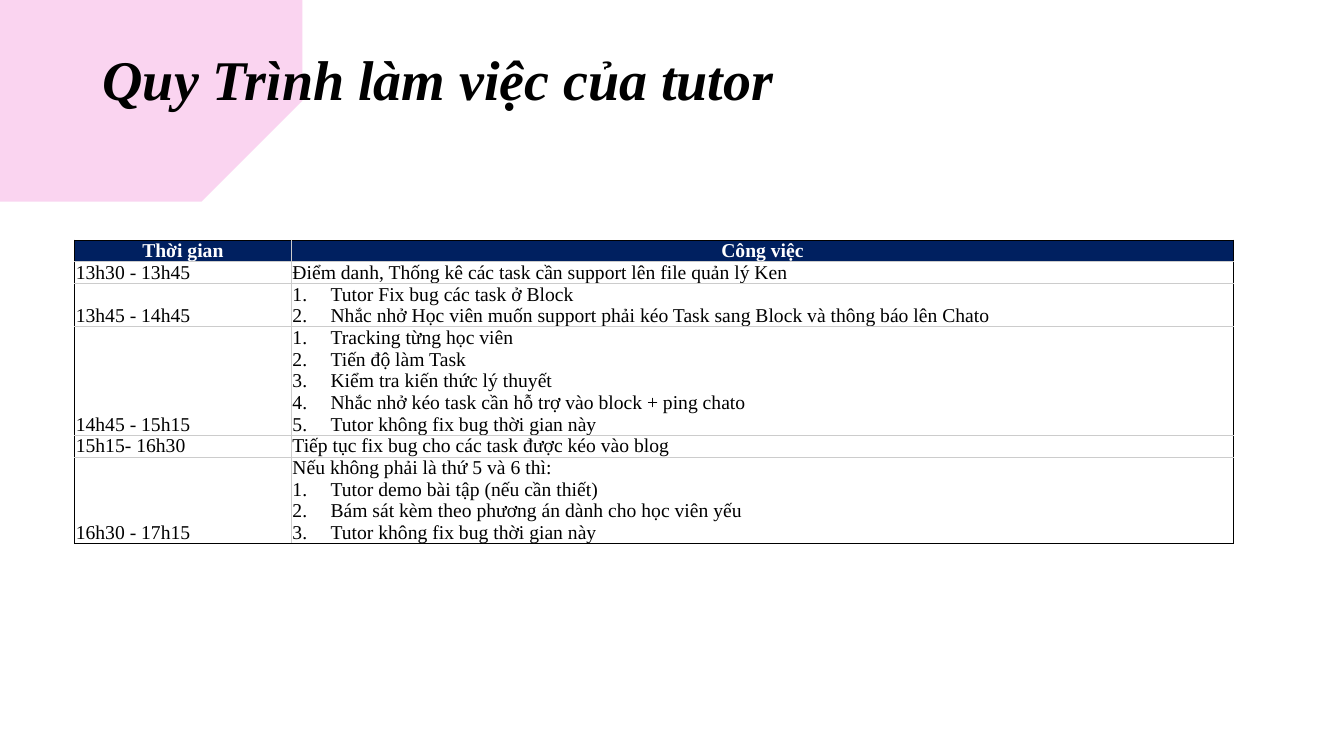
from lxml import etree
from pptx import Presentation
from pptx.dml.color import RGBColor
from pptx.enum.text import MSO_ANCHOR, MSO_AUTO_SIZE, PP_ALIGN
from pptx.oxml.ns import qn
from pptx.util import Cm, Pt

BOTTOM, MIDDLE = MSO_ANCHOR.BOTTOM, MSO_ANCHOR.MIDDLE
LEFT, CENTER = PP_ALIGN.LEFT, PP_ALIGN.CENTER
NO_FIT = MSO_AUTO_SIZE.NONE
BLACK = RGBColor(0x00, 0x00, 0x00)
WHITE = RGBColor(0xFF, 0xFF, 0xFF)
NAVY = RGBColor(0x00, 0x20, 0x60)
GREY = RGBColor(0xCC, 0xCC, 0xCC)
PINK = RGBColor(0xE7, 0x29, 0xB5)
FONT = "Times New Roman"


def set_font(font, **values):
    for key, value in values.items():
        setattr(font, key, value)
    font.name = FONT


def add_border(cell, position, side, color):
    """Border elements come first in the cell properties, in the order L, R, T, B."""
    line = etree.Element(qn("a:ln" + side), w=str(Pt(0.75)))
    fill = etree.SubElement(line, qn("a:solidFill"))
    etree.SubElement(fill, qn("a:srgbClr"), val=str(color))
    cell._tc.get_or_add_tcPr().insert(position, line)


prs = Presentation()
prs.slide_width, prs.slide_height = Cm(33.87), Cm(19.05)
slide = prs.slides.add_slide(prs.slide_layouts[5])

# Title
title = slide.shapes.title
title.left, title.top, title.width, title.height = Cm(2.33), Cm(0.23), Cm(29.21), Cm(3.68)
title_frame = title.text_frame
title_frame.text = "Quy Trình làm việc của tutor"
title_frame.vertical_anchor = MIDDLE
title_frame.auto_size = NO_FIT
title_frame.word_wrap = True
title_frame.paragraphs[0].alignment = LEFT
title_frame.paragraphs[0].line_spacing = 0.9
set_font(title_frame.paragraphs[0].font, size=Pt(40), bold=True, italic=True)
title_frame.paragraphs[0].font.color.rgb = BLACK

# Brush stroke behind the title: top edge, ragged tip, bottom edge, in inches
BRUSH = [
    (0, 0.34), (0.25, 0.37), (1.02, 0.37), (1.94, 0.41), (2.65, 0.4), (2.8, 0.47),
    (2.53, 0.57), (2.62, 0.62), (2.38, 0.66), (2.75, 0.74), (2.51, 0.75), (2.9, 0.85),
    (2.63, 0.88), (3.3, 0.94), (3.21, 0.97), (3.18, 1.06), (3.07, 1.11), (2.83, 1.16),
    (2.74, 1.28), (3.08, 1.28), (2.69, 1.38), (2.73, 1.42), (2.52, 1.48), (2.63, 1.48),
    (1.97, 1.72), (1.02, 1.88), (0.65, 1.91), (0, 1.88),
]
builder = slide.shapes.build_freeform(*BRUSH[0], scale=Cm(2.54))
builder.add_line_segments(BRUSH[1:], close=True)
brush = builder.convert_to_shape()
brush.shadow.inherit = False
brush.line.fill.background()
brush.fill.solid()
brush.fill.fore_color.rgb = PINK
brush_color = brush._element.spPr.find(".//" + qn("a:srgbClr"))
etree.SubElement(brush_color, qn("a:alpha"), val="20000")
title._element.addprevious(brush._element)

# Schedule: time, introductory line, numbered tasks
HEADINGS = ("Thời gian", "Công việc")
SCHEDULE = [
    ("13h30 - 13h45", "Điểm danh, Thống kê các task cần support lên file quản lý Ken", []),
    ("13h45 - 14h45", "", [
        "Tutor Fix bug các task ở Block",
        "Nhắc nhở Học viên muốn support phải kéo Task sang Block và thông báo lên Chato"]),
    ("14h45 - 15h15", "", [
        "Tracking từng học viên",
        "Tiến độ làm Task",
        "Kiểm tra kiến thức lý thuyết",
        "Nhắc nhở kéo task cần hỗ trợ vào block + ping chato",
        "Tutor không fix bug thời gian này"]),
    ("15h15- 16h30", "Tiếp tục fix bug cho các task được kéo vào blog", []),
    ("16h30 - 17h15", "Nếu không phải là thứ 5 và 6 thì:", [
        "Tutor demo bài tập (nếu cần thiết)",
        "Bám sát kèm theo phương án dành cho học viên yếu",
        "Tutor không fix bug thời gian này"]),
]
# Each cell is a list of (text, numbered) lines
rows = [[[(heading, False)] for heading in HEADINGS]]
for time, intro, tasks in SCHEDULE:
    work = [(intro, False)] if intro else []
    rows.append([[(time, False)], work + [(task, True) for task in tasks]])

LINE_HEIGHT = 0.54
line_total = sum(len(work) for _, work in rows)
schedule = slide.shapes.add_table(len(rows), 2, Cm(1.88), Cm(6.05), Cm(29.21),
                                  Cm(LINE_HEIGHT * line_total)).table
schedule.first_row = schedule.horz_banding = False
schedule.columns[0].width, schedule.columns[1].width = Cm(5.46), Cm(23.75)

for r, row in enumerate(rows):
    schedule.rows[r].height = Cm(LINE_HEIGHT * len(row[1]))
    is_header = r == 0
    for c, lines in enumerate(row):
        cell = schedule.cell(r, c)
        cell.vertical_anchor = BOTTOM
        cell.margin_left = cell.margin_right = Cm(0.03)
        cell.margin_top = cell.margin_bottom = 0
        if is_header:
            cell.fill.solid()
            cell.fill.fore_color.rgb = NAVY
        else:
            cell.fill.background()

        # Black frame outside, grey rules inside
        on_frame = {"L": c == 0, "R": c == 1, "T": is_header, "B": r == len(rows) - 1}
        for position, (side, outer) in enumerate(on_frame.items()):
            add_border(cell, position, side, BLACK if outer else GREY)

        cell.text = "\n".join(text for text, _ in lines)
        for paragraph, (_, numbered) in zip(cell.text_frame.paragraphs, lines):
            paragraph.alignment = CENTER if is_header else LEFT
            if numbered:
                properties = paragraph._p.get_or_add_pPr()
                properties.set("marL", str(Cm(0.96)))
                properties.set("indent", str(-Cm(0.96)))
                etree.SubElement(properties, qn("a:buAutoNum"), type="arabicPeriod")
            set_font(paragraph.font, size=Pt(14), bold=is_header)
            paragraph.font.color.rgb = WHITE if is_header else BLACK

prs.save("out.pptx")
